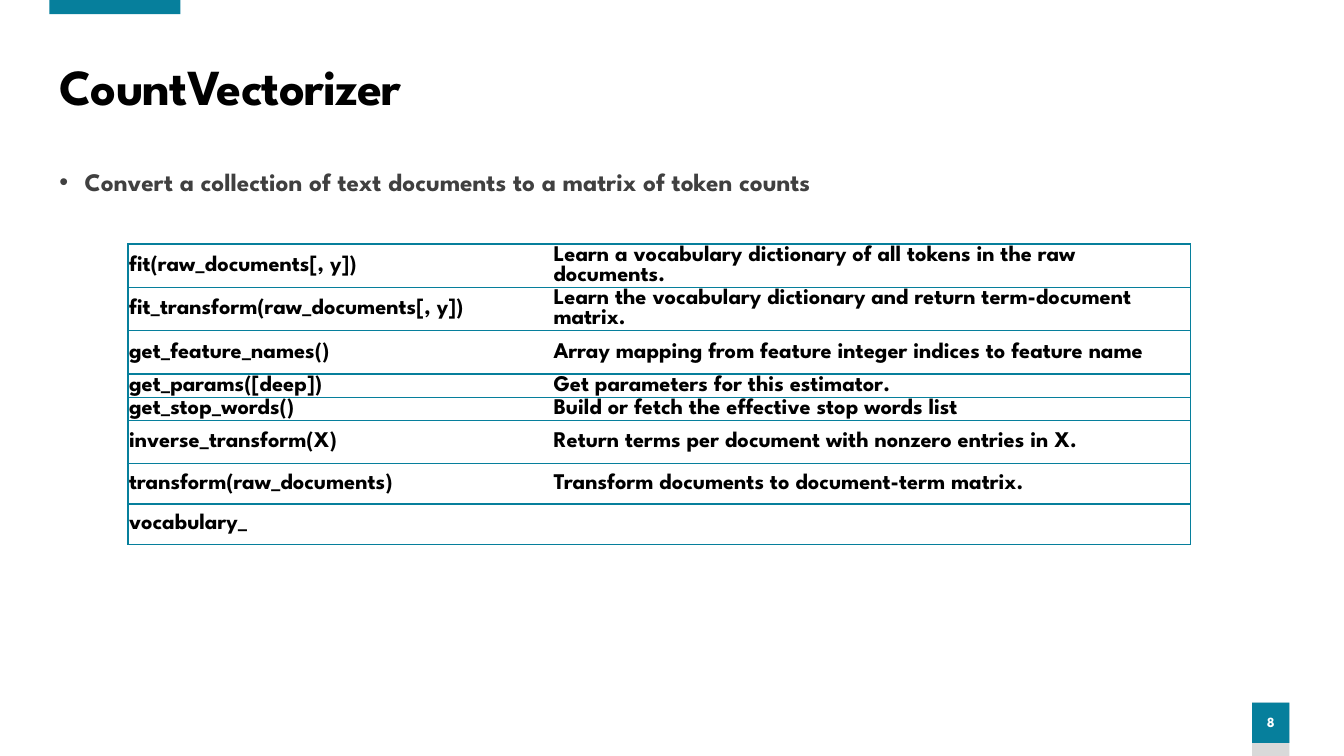
from lxml import etree
from pptx import Presentation
from pptx import util as u
from pptx.dml.color import RGBColor
from pptx.enum import shapes, text
from pptx.oxml import ns

TEAL = RGBColor(0x06, 0x7F, 0x9C)
GRAY = RGBColor(0xD9, 0xD9, 0xD9)
DARK = RGBColor(0x40, 0x40, 0x40)
BLACK = RGBColor(0, 0, 0)
WHITE = RGBColor(0xFF, 0xFF, 0xFF)
FONT = "League Spartan"
COLS = [4.21, 6.33]
ROWS = [
    (0.43, "fit(raw_documents[, y])",
     "Learn a vocabulary dictionary of all tokens in the raw documents."),
    (0.43, "fit_transform(raw_documents[, y])",
     "Learn the vocabulary dictionary and return term-document matrix."),
    (0.43, "get_feature_names()",
     "Array mapping from feature integer indices to feature name"),
    (0.23, "get_params([deep])", "Get parameters for this estimator."),
    (0.23, "get_stop_words()", "Build or fetch the effective stop words list"),
    (0.43, "inverse_transform(X)",
     "Return terms per document with nonzero entries in X."),
    (0.4, "transform(raw_documents)",
     "Transform documents to document-term matrix."),
    (0.4, "vocabulary_", ""),
]


def add_run(para, words, size, color):
    """Add one bold run to a paragraph and return it."""
    run = para.add_run()
    run.text = words
    run.font.name = FONT
    run.font.size = u.Pt(size)
    run.font.bold = True
    run.font.color.rgb = color
    return run


def add_bar(slide, box, color):
    """Draw a plain filled bar without outline."""
    bar = slide.shapes.add_shape(shapes.MSO_SHAPE.RECTANGLE, *map(u.Inches, box))
    bar.shadow.inherit = False
    bar.fill.solid()
    bar.fill.fore_color.rgb = color
    bar.line.fill.background()
    return bar


def add_page(slide, box, number):
    """Draw the page number tab at the foot."""
    left, top, width, height = box
    add_bar(slide, box, GRAY)
    frame = add_bar(slide, (left, top, width, height - 0.13), TEAL).text_frame
    frame.margin_left = frame.margin_right = 0
    frame.vertical_anchor = text.MSO_ANCHOR.MIDDLE
    para = frame.paragraphs[0]
    para.alignment = text.PP_ALIGN.CENTER
    para.line_spacing = 0.9
    para.space_before = u.Pt(10)
    add_run(para, number, 10, WHITE)


def add_frame(slide, box):
    """Add a wrapping text box and return its frame."""
    frame = slide.shapes.add_textbox(*map(u.Inches, box)).text_frame
    frame.word_wrap = True
    return frame


def add_title(slide, box, words):
    """Write the slide title."""
    frame = add_frame(slide, box)
    frame.vertical_anchor = text.MSO_ANCHOR.MIDDLE
    para = frame.paragraphs[0]
    para.line_spacing = 0.9
    run = add_run(para, words, 36, BLACK)
    run._r.get_or_add_rPr().set("spc", "-60")


def add_body(slide, box, words):
    """Write the bulleted summary."""
    para = add_frame(slide, box).paragraphs[0]
    para.space_before = para.space_after = u.Pt(3)
    props = para._p.get_or_add_pPr()
    props.set("marL", str(u.Inches(0.25)))
    props.set("indent", str(-u.Inches(0.25)))
    etree.SubElement(props, ns.qn("a:buFont")).set("typeface", "Arial")
    etree.SubElement(props, ns.qn("a:buChar")).set("char", "•")
    add_run(para, words, 18, DARK)


def add_edges(cell, inner):
    """Rule a cell in teal on every side but the inner one."""
    props = cell._tc.get_or_add_tcPr()
    for side in "LRTB":
        line = etree.SubElement(props, ns.qn("a:ln" + side), w=str(u.Pt(1)))
        if side == inner:
            etree.SubElement(line, ns.qn("a:noFill"))
        else:
            fill = etree.SubElement(line, ns.qn("a:solidFill"))
            etree.SubElement(fill, ns.qn("a:srgbClr"), val=str(TEAL))


def add_cell(cell, words, inner):
    """Style one table cell and write its words."""
    add_edges(cell, inner)
    cell.fill.solid()
    cell.fill.fore_color.rgb = WHITE
    cell.vertical_anchor = text.MSO_ANCHOR.MIDDLE
    cell.margin_left = cell.margin_right = cell.margin_top = u.Inches(0.01)
    cell.margin_bottom = 0
    if words:
        para = cell.text_frame.paragraphs[0]
        para.line_spacing = u.Pt(14.5)
        add_run(para, words, 16, BLACK)


def add_methods(slide, left, top):
    """Build the table of methods."""
    high = sum(row[0] for row in ROWS)
    box = map(u.Inches, (left, top, sum(COLS), high))
    table = slide.shapes.add_table(len(ROWS), len(COLS), *box).table
    table.first_row = table.horz_banding = False
    for col, width in zip(table.columns, COLS):
        col.width = u.Inches(width)
    for row, (height, *pair) in zip(table.rows, ROWS):
        row.height = u.Inches(height)
        for cell, words, inner in zip(row.cells, pair, "RL"):
            add_cell(cell, words, inner)


def main():
    """Build and save the slide."""
    deck = Presentation()
    deck.slide_width = u.Inches(13.33)
    deck.slide_height = u.Inches(7.5)
    slide = deck.slides.add_slide(deck.slide_layouts[6])
    add_page(slide, (12.42, 6.97, 0.37, 0.53), "8")
    add_bar(slide, (0.49, 0, 1.3, 0.14), TEAL)
    add_title(slide, (0.49, 0.56, 12.22, 0.66), "CountVectorizer")
    add_body(slide, (0.49, 1.6, 12.22, 5.22),
             "Convert a collection of text documents to a matrix of token counts")
    add_methods(slide, 1.27, 2.42)
    deck.save("out.pptx")


if __name__ == "__main__":
    main()
